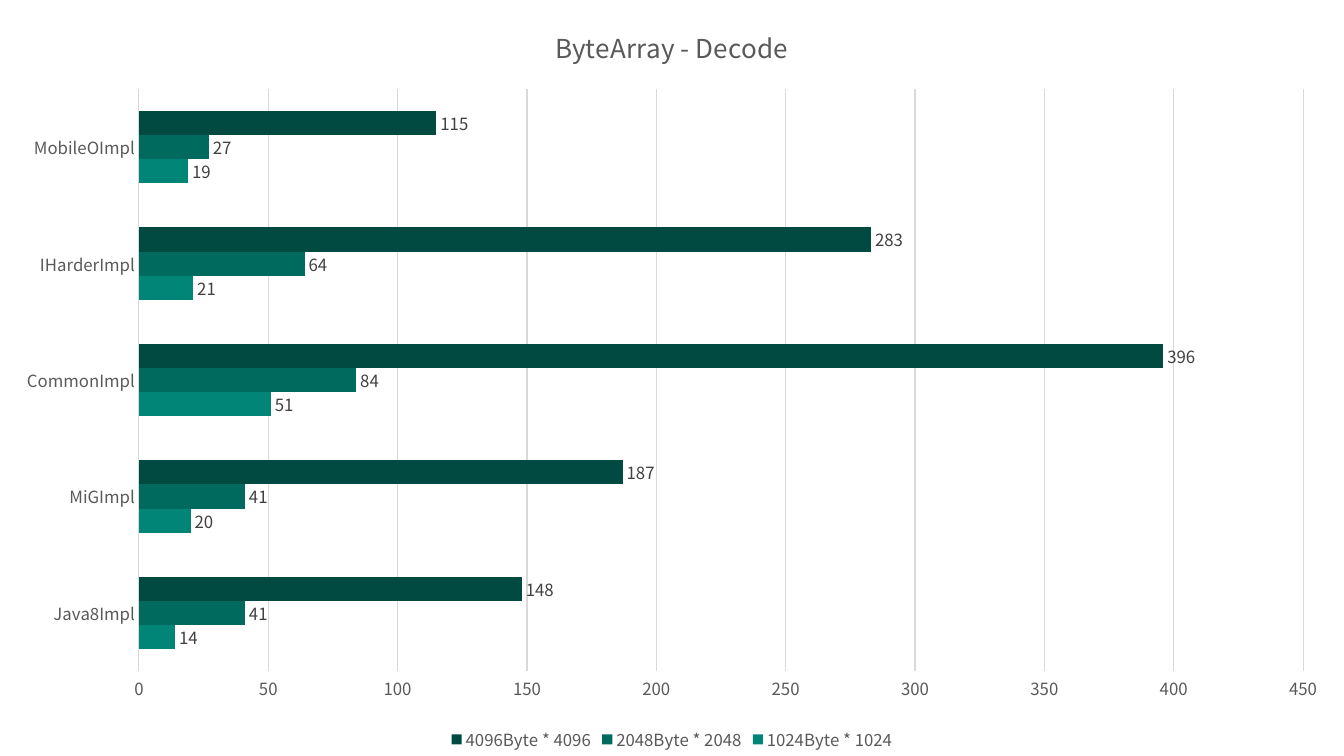
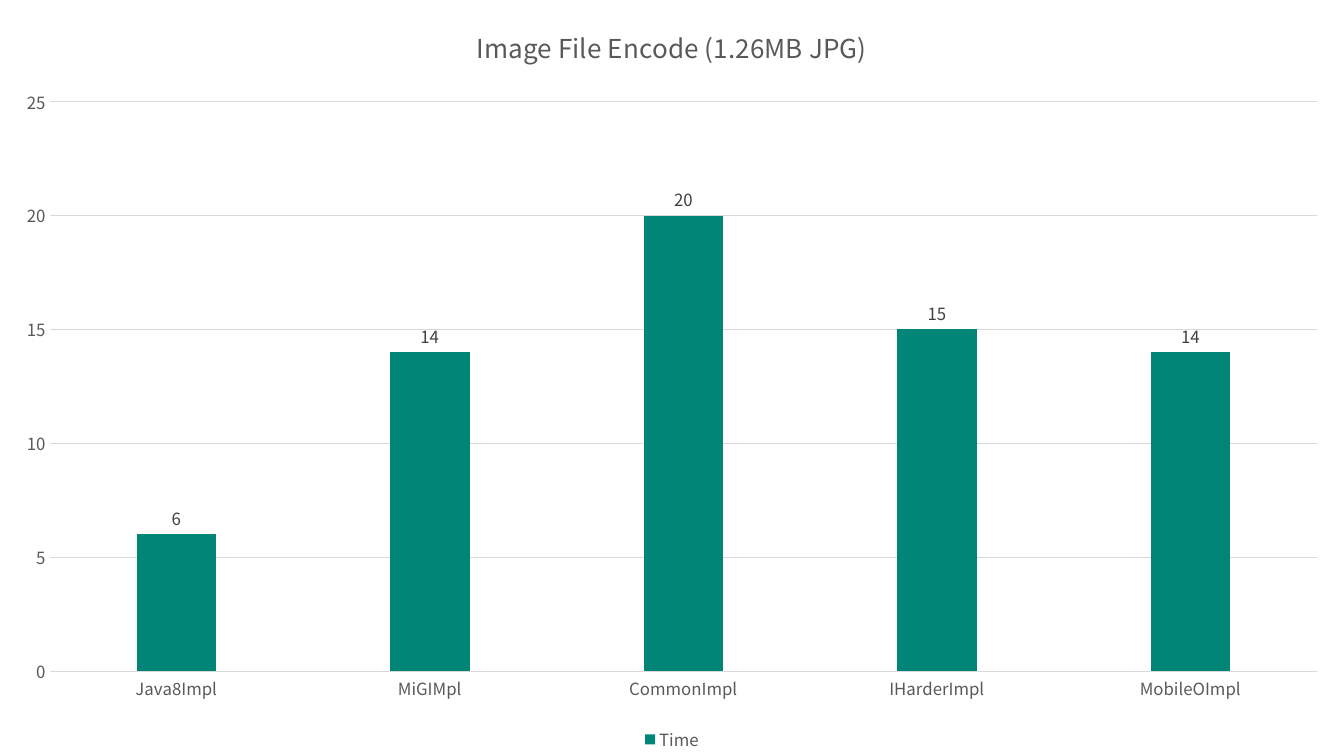
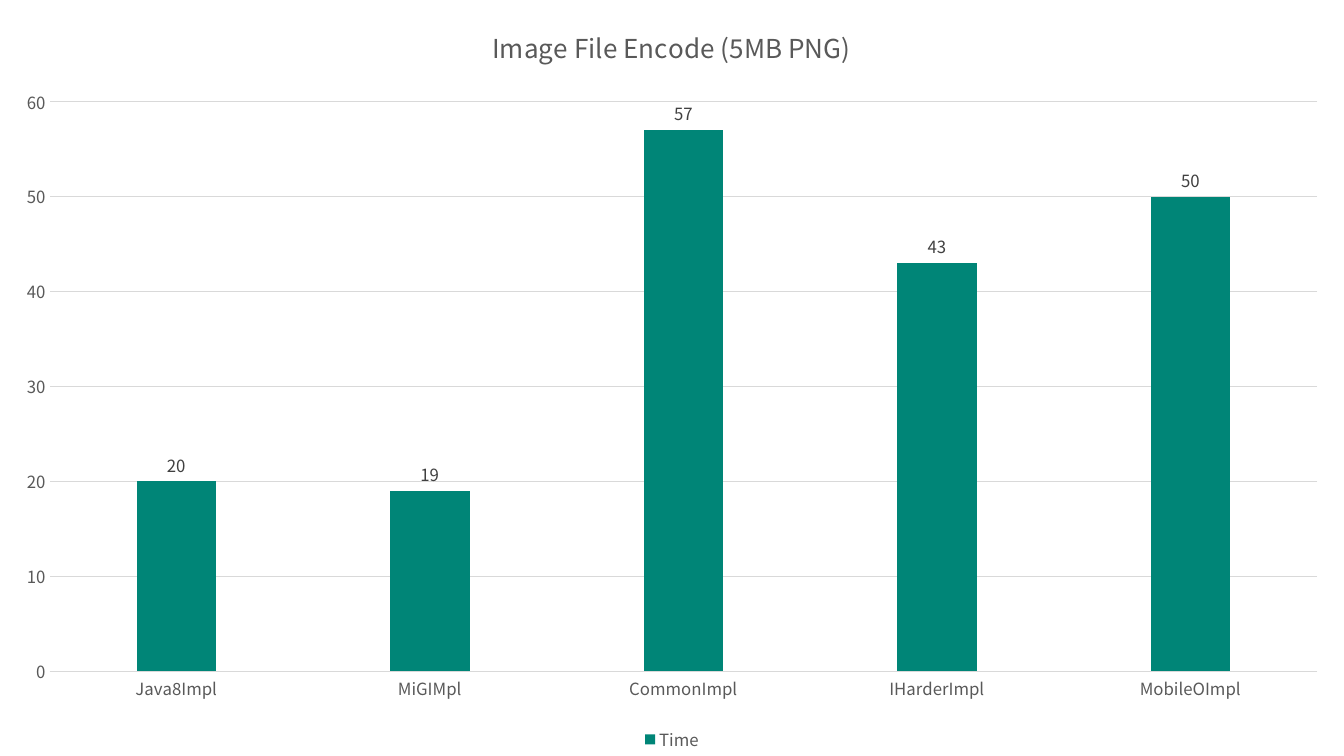
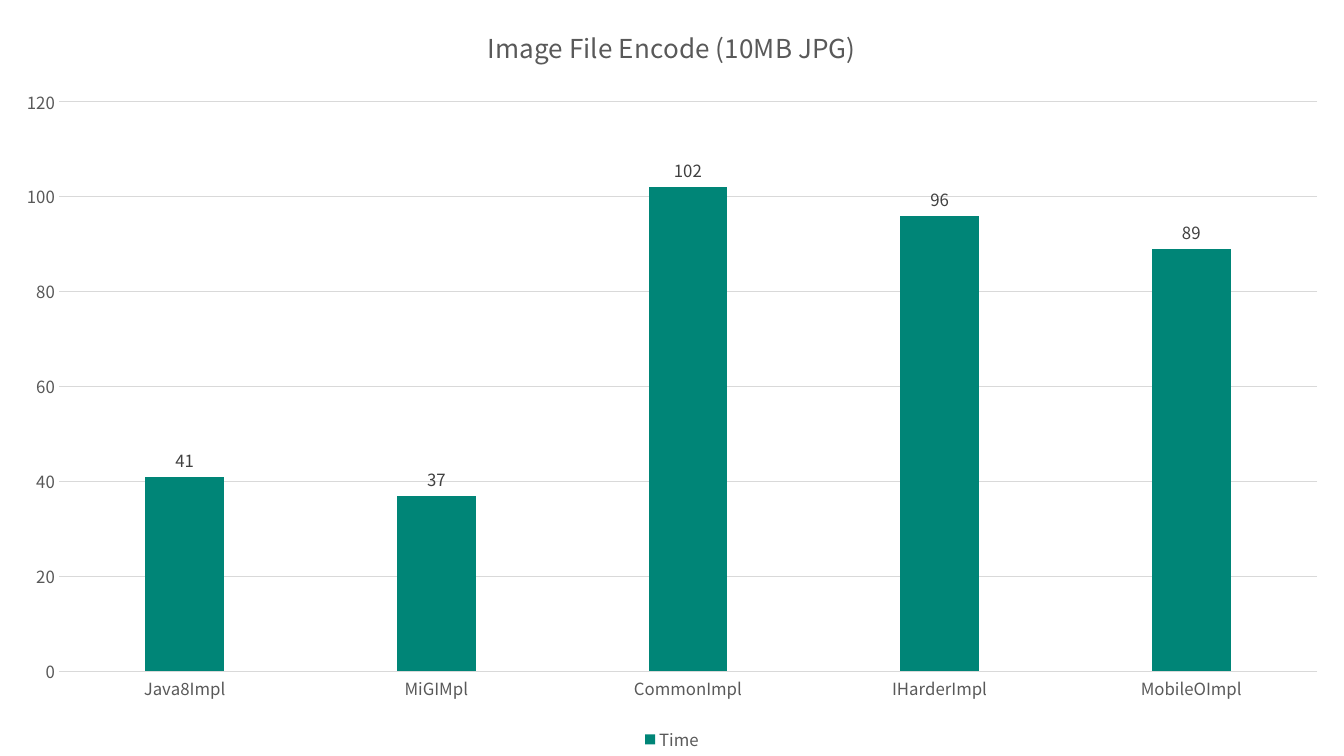
from pptx import Presentation
from pptx.chart.data import CategoryChartData
from pptx.dml.color import RGBColor
from pptx.enum.chart import XL_CHART_TYPE as ChartType
from pptx.enum.chart import XL_LABEL_POSITION as LabelPosition
from pptx.enum.chart import XL_LEGEND_POSITION as LegendPosition
from pptx.enum.chart import XL_TICK_MARK as TickMark
from pptx.util import Pt

# Shared style
FONT = "Noto Sans CJK KR"
COLORS = {
    "text": "595959",
    "label": "404040",
    "rule": "D9D9D9",
    "teal": "008577",
    "deep": "006A5F",
    "dark": "004A42",
}
SERIES_COLORS = ["teal", "deep", "dark"]
WIDTH, HEIGHT = Pt(960), Pt(540)


def style_font(font, size, color):
    font.name = FONT
    font.size = Pt(size)
    font.bold = False
    font.color.rgb = RGBColor.from_string(COLORS[color])


def style_line(line):
    line.width = Pt(0.75)
    line.color.rgb = RGBColor.from_string(COLORS["rule"])


# Benchmark results: title, chart type, gap, overlap, categories, series
DECODERS = ["Java8Impl", "MiGImpl", "CommonImpl", "IHarderImpl", "MobileOImpl"]
ENCODERS = ["Java8Impl", "MiGIMpl", "CommonImpl", "IHarderImpl", "MobileOImpl"]
BARS = (ChartType.BAR_CLUSTERED, 182, 0, DECODERS)
COLUMNS = (ChartType.COLUMN_CLUSTERED, 219, -27, ENCODERS)
benchmarks = [
    ("ByteArray - Decode", BARS, {
        "1024Byte * 1024": [14, 20, 51, 21, 19],
        "2048Byte * 2048": [41, 41, 84, 64, 27],
        "4096Byte * 4096": [148, 187, 396, 283, 115],
    }),
    ("Image File Encode (1.26MB JPG)", COLUMNS, {"Time": [6, 14, 20, 15, 14]}),
    ("Image File Encode (5MB PNG)", COLUMNS, {"Time": [20, 19, 57, 43, 50]}),
    ("Image File Encode (10MB JPG)", COLUMNS, {"Time": [41, 37, 102, 96, 89]}),
]

deck = Presentation()
deck.slide_width, deck.slide_height = WIDTH, HEIGHT

# One full-slide chart per benchmark
for title, (chart_type, gap, overlap, categories), timings in benchmarks:
    page = deck.slides.add_slide(deck.slide_layouts[6])
    data = CategoryChartData()
    data.categories = categories
    for name, values in timings.items():
        data.add_series(name, values)
    chart = page.shapes.add_chart(chart_type, 0, 0, WIDTH, HEIGHT, data).chart
    style_font(chart.font, 12, "text")

    # Title and legend
    chart.has_title = True
    heading = chart.chart_title
    heading.include_in_layout = False
    heading.text_frame.text = title
    style_font(heading.text_frame.paragraphs[0].runs[0].font, 18.6, "text")
    chart.has_legend = True
    chart.legend.position = LegendPosition.BOTTOM
    chart.legend.include_in_layout = False
    style_font(chart.legend.font, 12, "text")

    # Axes
    for axis in (chart.category_axis, chart.value_axis):
        axis.major_tick_mark = axis.minor_tick_mark = TickMark.NONE
        style_font(axis.tick_labels.font, 12, "text")
    style_line(chart.category_axis.format.line)
    chart.value_axis.format.line.fill.background()
    chart.value_axis.has_major_gridlines = True
    style_line(chart.value_axis.major_gridlines.format.line)

    # Bars and value labels
    plot = chart.plots[0]
    plot.vary_by_categories = False
    plot.gap_width = gap
    plot.overlap = overlap
    for series, color in zip(plot.series, SERIES_COLORS):
        series.format.fill.solid()
        series.format.fill.fore_color.rgb = RGBColor.from_string(COLORS[color])
        labels = series.data_labels
        labels.show_value = True
        labels.position = LabelPosition.OUTSIDE_END
        style_font(labels.font, 12, "label")

deck.save("out.pptx")
